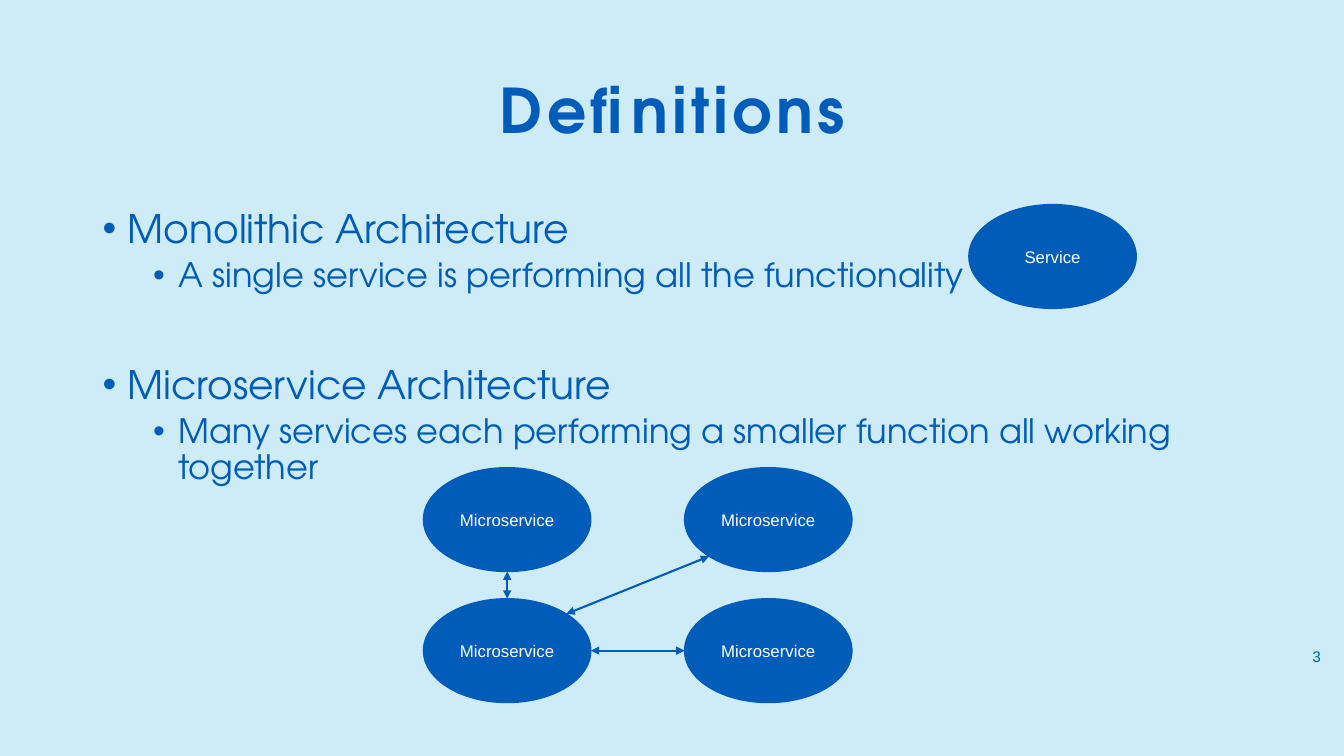
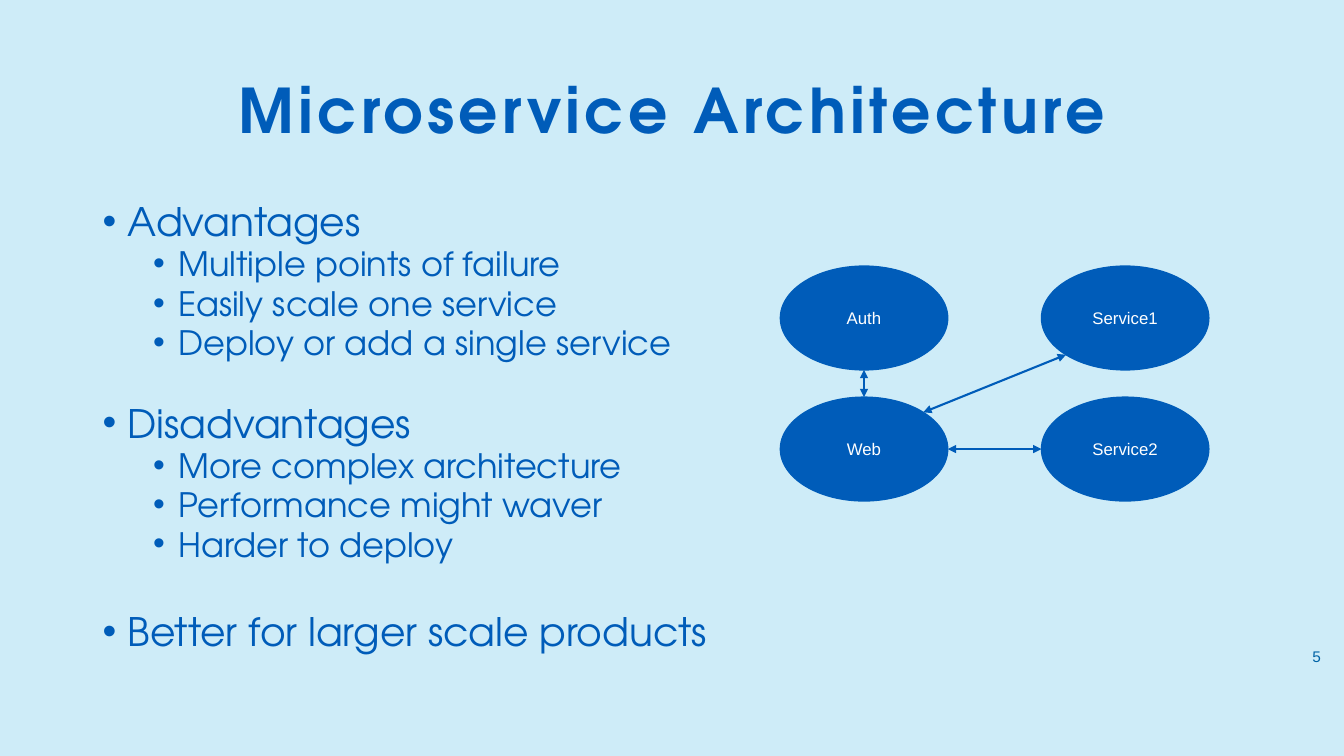
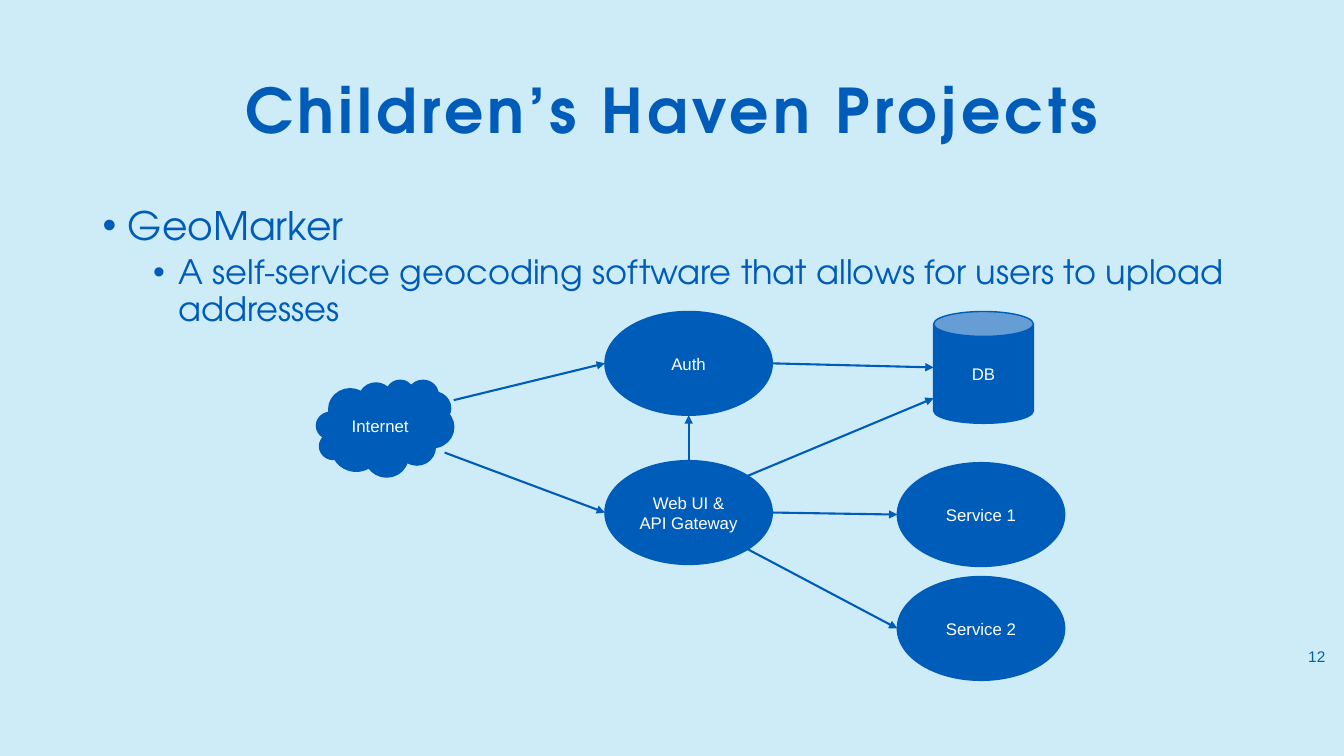
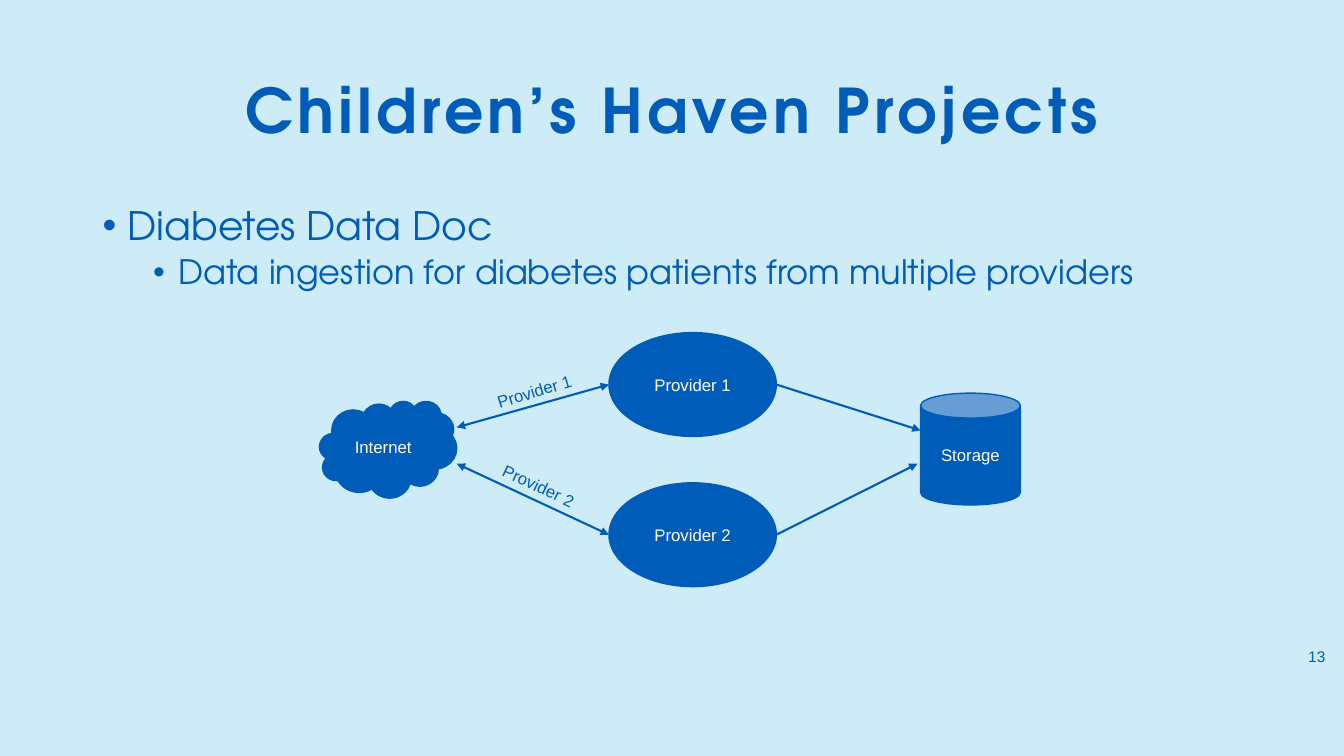
from dataclasses import dataclass
from typing import Any

import lxml.etree
import pptx
import pptx.dml.color
import pptx.enum.shapes
import pptx.enum.text
import pptx.oxml.ns
import pptx.presentation
import pptx.shapes.autoshape
import pptx.slide
import pptx.text.text
import pptx.util

Inches = pptx.util.Inches
Pt = pptx.util.Pt
Shapes = pptx.enum.shapes.MSO_SHAPE
Align = pptx.enum.text.PP_ALIGN
Anchor = pptx.enum.text.MSO_ANCHOR

# Shared look
COLORS = {"sky": "CEECF8", "blue": "005CB9", "number": "0063A6", "white": "FFFFFF"}
HEAD_FONT = "TeX Gyre Adventor"
TITLE_FORMAT = {"name": HEAD_FONT, "size": Pt(44), "bold": True}
BODY_FORMATS = [
    {"name": HEAD_FONT, "size": Pt(28)},
    {"name": HEAD_FONT, "size": Pt(24)},
]
LABEL_FORMAT = {"name": "Arial", "size": Pt(12)}
NUMBER_FORMAT = {"name": "Arial", "size": Pt(11)}
MIDDLE_FRAME = {"word_wrap": True, "vertical_anchor": Anchor.MIDDLE}
TOP_FRAME = {"word_wrap": True, "vertical_anchor": Anchor.TOP}
TITLE_LAYOUT = 5

# Node sizes and the outline points of an ellipse, as fractions of its radii
ELLIPSE = (1.66, 1.03)
CLOUD = (1.36, 0.96)
CAN = (0.99, 1.11)
DIAGONAL = 0.5**0.5
SIDES = {
    "top": (0, -1),
    "bottom": (0, 1),
    "left": (-1, 0),
    "right": (1, 0),
    "top right": (DIAGONAL, -DIAGONAL),
    "bottom right": (DIAGONAL, DIAGONAL),
    "bottom left": (-DIAGONAL, DIAGONAL),
}

Point = tuple[float, float]


@dataclass
class Bullet:
    text: str
    level: int = 0
    before: float | None = None  # points; the level's own gap when None


@dataclass
class Node:
    text: str
    left: float
    top: float
    size: Point = ELLIPSE
    shape: Any = Shapes.OVAL

    def side(self, name: str) -> Point:
        across, down = SIDES[name]
        width, height = self.size
        return (
            self.left + width / 2 * (1 + across),
            self.top + height / 2 * (1 + down),
        )


@dataclass
class Arrow:
    start: Point
    end: Point
    both: bool = False


@dataclass
class Label:
    text: str
    left: float
    top: float
    angle: float


@dataclass
class Diagram:
    nodes: list[Node]
    arrows: list[Arrow]
    labels: list[Label]


@dataclass
class Topic:
    title: str
    number: int
    bullets: list[Bullet]
    diagram: Diagram
    body_top: float = 2.0
    line_spacing: float = 0.9


# Drawing helpers
def color(name: str) -> pptx.dml.color.RGBColor:
    return pptx.dml.color.RGBColor.from_string(COLORS[name])


def apply(target: Any, values: dict[str, Any]) -> None:
    for name, value in values.items():
        setattr(target, name, value)


def add_element(parent: Any, tag: str, **attributes: str) -> None:
    element = lxml.etree.SubElement(parent, pptx.oxml.ns.qn(tag))
    for name, value in attributes.items():
        element.set(name, value)


def write(
    para: pptx.text.text._Paragraph, text: str, style: dict[str, Any], ink: str
) -> pptx.text.text._Run:
    span = para.add_run()
    span.text = text
    apply(span.font, style)
    span.font.color.rgb = color(ink)
    return span


def add_text_box(
    page: pptx.slide.Slide, left: float, top: float, width: float, height: float
) -> pptx.shapes.autoshape.Shape:
    return page.shapes.add_textbox(
        Inches(left), Inches(top), Inches(width), Inches(height)
    )


def add_title(page: pptx.slide.Slide, text: str) -> None:
    box = page.shapes.title
    place = {
        "left": Inches(0.92),
        "top": Inches(0.4),
        "width": Inches(11.5),
        "height": Inches(1.45),
    }
    apply(box, place)
    apply(box.text_frame, MIDDLE_FRAME)
    box.text_frame.auto_size = pptx.enum.text.MSO_AUTO_SIZE.NONE
    para = box.text_frame.paragraphs[0]
    apply(para, {"alignment": Align.CENTER, "line_spacing": 0.9})
    span = write(para, text, TITLE_FORMAT, "blue")
    span._r.get_or_add_rPr().set("spc", "300")


def add_bullets(page: pptx.slide.Slide, topic: Topic) -> None:
    frame = add_text_box(page, 0.92, topic.body_top, 11.5, 4.76).text_frame
    apply(frame, TOP_FRAME)
    for index, bullet in enumerate(topic.bullets):
        para = frame.add_paragraph() if index else frame.paragraphs[0]
        gap = (10, 5)[bullet.level] if bullet.before is None else bullet.before
        properties = para._p.get_or_add_pPr()
        properties.set("marL", str(Inches(0.25 + 0.5 * bullet.level)))
        properties.set("indent", str(Inches(-0.25)))
        add_element(properties, "a:buFont", typeface="Arial")
        add_element(properties, "a:buChar", char="•")
        layout = {
            "level": bullet.level,
            "line_spacing": topic.line_spacing,
            "space_before": Pt(gap if index else 0),
        }
        apply(para, layout)
        write(para, bullet.text, BODY_FORMATS[bullet.level], "blue")


def add_number(page: pptx.slide.Slide, number: int) -> None:
    frame = add_text_box(page, 12.79, 6.31, 0.54, 0.41).text_frame
    apply(frame, MIDDLE_FRAME)
    para = frame.paragraphs[0]
    para.alignment = Align.CENTER
    write(para, str(number), NUMBER_FORMAT, "number")


def add_node(page: pptx.slide.Slide, node: Node) -> None:
    width, height = node.size
    box = page.shapes.add_shape(
        node.shape, Inches(node.left), Inches(node.top), Inches(width), Inches(height)
    )
    box.shadow.inherit = False
    box.fill.solid()
    box.fill.fore_color.rgb = color("blue")
    box.line.color.rgb = color("blue")
    box.line.width = Pt(1)
    apply(box.text_frame, MIDDLE_FRAME)
    para = box.text_frame.paragraphs[0]
    para.alignment = Align.CENTER
    write(para, node.text, LABEL_FORMAT, "white")


def add_arrow(page: pptx.slide.Slide, arrow: Arrow) -> None:
    ends = [Inches(value) for value in (*arrow.start, *arrow.end)]
    connector = page.shapes.add_connector(
        pptx.enum.shapes.MSO_CONNECTOR.STRAIGHT, *ends
    )
    connector.line.color.rgb = color("blue")
    connector.line.width = Pt(1.5)
    outline = connector.line._get_or_add_ln()
    if arrow.both:
        add_element(outline, "a:headEnd", type="triangle")
    add_element(outline, "a:tailEnd", type="triangle")
    add_element(connector._element.spPr, "a:effectLst")


def add_label(page: pptx.slide.Slide, label: Label) -> None:
    box = add_text_box(page, label.left, label.top, 1.04, 0.3)
    box.rotation = label.angle
    apply(box.text_frame, TOP_FRAME)
    write(box.text_frame.paragraphs[0], label.text, LABEL_FORMAT, "blue")


def add_page(deck: pptx.presentation.Presentation, topic: Topic) -> None:
    page = deck.slides.add_slide(deck.slide_layouts[TITLE_LAYOUT])
    add_title(page, topic.title)
    add_bullets(page, topic)
    add_number(page, topic.number)
    for node in topic.diagram.nodes:
        add_node(page, node)
    for arrow in topic.diagram.arrows:
        add_arrow(page, arrow)
    for label in topic.diagram.labels:
        add_label(page, label)


# Diagrams
def service_cluster(left: float, top: float, names: list[str]) -> Diagram:
    """Two by two services, row by row; the lower left one talks to the rest."""
    nodes = [
        Node(name, left + 2.59 * (index % 2), top + 1.3 * (index // 2))
        for index, name in enumerate(names)
    ]
    above, diagonal, hub, beside = nodes
    arrows = [
        Arrow(hub.side("top"), above.side("bottom"), both=True),
        Arrow(hub.side("top right"), diagonal.side("bottom left"), both=True),
        Arrow(hub.side("right"), beside.side("left"), both=True),
    ]
    return Diagram(nodes, arrows, [])


def definitions_diagram() -> Diagram:
    diagram = service_cluster(4.2, 4.64, ["Microservice"] * 4)
    diagram.nodes.append(Node("Service", 9.61, 2.03))
    return diagram


def geocoding_diagram() -> Diagram:
    gateway = Node("Web UI & API Gateway", 6, 4.57)
    auth = Node("Auth", 6, 3.09)
    first = Node("Service 1", 8.9, 4.59)
    second = Node("Service 2", 8.9, 5.72)
    database = Node("DB", 9.26, 3.09, CAN, Shapes.CAN)
    internet = Node("Internet", 3.14, 3.77, CLOUD, Shapes.CLOUD)
    arrows = [
        Arrow((4.41, 4.49), gateway.side("left")),
        Arrow((4.5, 3.97), auth.side("left")),
        Arrow(auth.side("right"), database.side("left")),
        Arrow(gateway.side("top right"), (database.left, 3.95)),
        Arrow(gateway.side("top"), auth.side("bottom")),
        Arrow(gateway.side("right"), first.side("left")),
        Arrow(gateway.side("bottom right"), second.side("left")),
    ]
    return Diagram([gateway, second, first, auth, database, internet], arrows, [])


def ingestion_diagram() -> Diagram:
    first = Node("Provider 1", 6.04, 3.3)
    second = Node("Provider 2", 6.04, 4.79)
    internet = Node("Internet", 3.17, 3.98, CLOUD, Shapes.CLOUD)
    storage = Node("Storage", 9.13, 3.9, CAN, Shapes.CAN)
    arrows = [
        Arrow(first.side("left"), (4.53, 4.24), both=True),
        Arrow(second.side("left"), (4.53, 4.6), both=True),
        Arrow(first.side("right"), (storage.left, 4.27)),
        Arrow(second.side("right"), (9.1, 4.6)),
    ]
    labels = [
        Label(first.text, 4.82, 3.72, 342.9),
        Label(second.text, 4.86, 4.69, 25.1),
    ]
    return Diagram([second, first, internet, storage], arrows, labels)


# Slide content
PROJECTS_TITLE = "Children’s Haven Projects"
TOPICS = [
    Topic(
        "Definitions",
        3,
        [
            Bullet("Monolithic Architecture"),
            Bullet("A single service is performing all the functionality", 1),
            Bullet("Microservice Architecture", before=50),
            Bullet(
                "Many services each performing a smaller function all working together",
                1,
            ),
        ],
        definitions_diagram(),
        body_top=2.03,
    ),
    Topic(
        "Microservice Architecture",
        5,
        [
            Bullet("Advantages"),
            Bullet("Multiple points of failure", 1),
            Bullet("Easily scale one service", 1),
            Bullet("Deploy or add a single service", 1),
            Bullet("Disadvantages", before=33),
            Bullet("More complex architecture", 1),
            Bullet("Performance might waver", 1),
            Bullet("Harder to deploy", 1),
            Bullet("Better for larger scale products", before=38),
        ],
        service_cluster(7.74, 2.64, ["Auth", "Service1", "Web", "Service2"]),
        line_spacing=0.8,
    ),
    Topic(
        PROJECTS_TITLE,
        12,
        [
            Bullet("GeoMarker"),
            Bullet(
                "A self-service geocoding software that allows for users "
                "to upload addresses",
                1,
            ),
        ],
        geocoding_diagram(),
    ),
    Topic(
        PROJECTS_TITLE,
        13,
        [
            Bullet("Diabetes Data Doc"),
            Bullet("Data ingestion for diabetes patients from multiple providers", 1),
        ],
        ingestion_diagram(),
    ),
]


def main() -> None:
    deck = pptx.Presentation()
    apply(deck, {"slide_width": Inches(13.33), "slide_height": Inches(7.5)})
    background = deck.slide_master.background.fill
    background.solid()
    background.fore_color.rgb = color("sky")
    for topic in TOPICS:
        add_page(deck, topic)
    deck.save("out.pptx")


if __name__ == "__main__":
    main()
